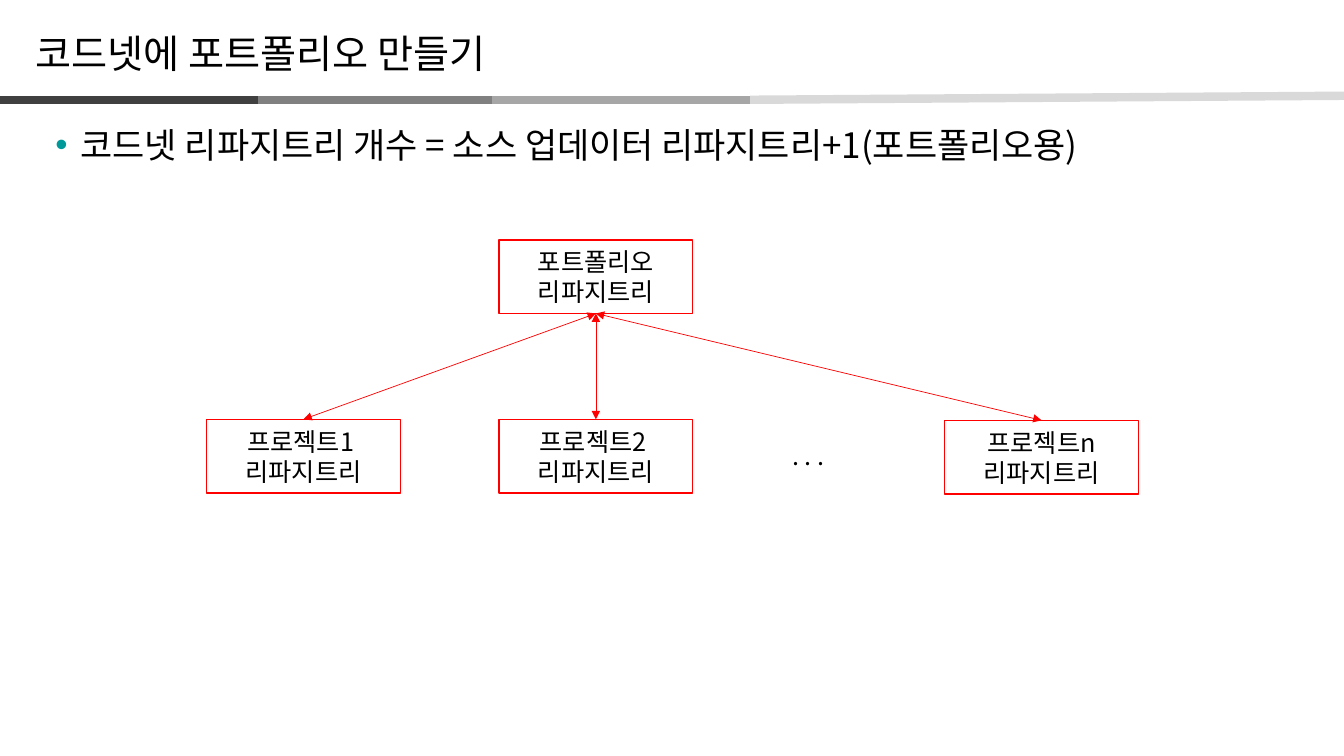
import pptx
import pptx.dml.color
import pptx.enum.shapes
import pptx.enum.text
import pptx.oxml
import pptx.oxml.ns
import pptx.util
from pptx.util import Inches

FONT = "Noto Sans CJK KR"
BLACK = pptx.dml.color.RGBColor(0x00, 0x00, 0x00)
RED = pptx.dml.color.RGBColor(0xFF, 0x00, 0x00)
TEAL = pptx.dml.color.RGBColor(0x00, 0x99, 0x99)
DARK_GRAY = pptx.dml.color.RGBColor(0x40, 0x40, 0x40)
MIDDLE_GRAY = pptx.dml.color.RGBColor(0x80, 0x80, 0x80)
LIGHT_GRAY = pptx.dml.color.RGBColor(0xA6, 0xA6, 0xA6)
PALE_GRAY = pptx.dml.color.RGBColor(0xD9, 0xD9, 0xD9)
LEFT = pptx.enum.text.PP_ALIGN.LEFT
CENTER = pptx.enum.text.PP_ALIGN.CENTER
TOP = pptx.enum.text.MSO_ANCHOR.TOP
MIDDLE = pptx.enum.text.MSO_ANCHOR.MIDDLE
BOX_WIDTH, BOX_HEIGHT = 1.92, 0.73


def append_xml(parent, tag, **attributes):
    """Append a drawing element with attributes and return it."""
    element = pptx.oxml.parse_xml(f"<a:{tag} {pptx.oxml.ns.nsdecls('a')}/>")
    for name, value in attributes.items():
        element.set(name, value)
    parent.append(element)
    return element


def place(shape, left, top, width, height):
    """Set the position and size of a shape in inches."""
    shape.left, shape.top = Inches(left), Inches(top)
    shape.width, shape.height = Inches(width), Inches(height)


def write_lines(shape, lines, size, pitch, alignment=LEFT, anchor=TOP, wrap=True):
    """Write one paragraph per line into a shape."""
    frame = shape.text_frame
    frame.auto_size = pptx.enum.text.MSO_AUTO_SIZE.NONE
    frame.word_wrap = wrap
    frame.vertical_anchor = anchor
    for index, line in enumerate(lines):
        paragraph = frame.add_paragraph() if index else frame.paragraphs[0]
        paragraph.alignment = alignment
        paragraph.line_spacing = pptx.util.Pt(pitch)
        paragraph.space_before = pptx.util.Pt(0)
        run = paragraph.add_run()
        run.text = line
        run.font.name = FONT
        run.font.size = pptx.util.Pt(size)
        run.font.color.rgb = BLACK
        append_xml(run.font._element, "ea", typeface=FONT)


def add_bullet(paragraph):
    """Give a paragraph a teal hanging bullet."""
    properties = paragraph._p.get_or_add_pPr()
    properties.set("marL", str(Inches(0.25)))
    properties.set("indent", str(Inches(-0.25)))
    color = append_xml(properties, "buClr")
    append_xml(color, "srgbClr", val=str(TEAL))
    append_xml(properties, "buFont", typeface="Arial")
    append_xml(properties, "buChar", char="•")


def add_line(slide, start, end, color, width):
    """Add a straight line without a shadow."""
    points = [Inches(value) for value in (*start, *end)]
    line = slide.shapes.add_connector(
        pptx.enum.shapes.MSO_CONNECTOR.STRAIGHT, *points)
    line.line.color.rgb = color
    line.line.width = pptx.util.Pt(width)
    append_xml(line._element.spPr, "effectLst")
    return line


def add_repository(slide, left, top, name):
    """Add a red outlined repository box."""
    box = slide.shapes.add_shape(
        pptx.enum.shapes.MSO_SHAPE.RECTANGLE, Inches(left), Inches(top),
        Inches(BOX_WIDTH), Inches(BOX_HEIGHT))
    box.shadow.inherit = False
    box.fill.background()
    box.line.color.rgb = RED
    box.line.width = pptx.util.Pt(1)
    write_lines(box, [name, "리파지트리"], 18, 21.5, CENTER, MIDDLE)
    return box


def link_repositories(slide, parent, child):
    """Join two boxes with a double-headed arrow."""
    arrow = add_line(slide, (0, 0), (1, 1), RED, 0.5)
    arrow.begin_connect(parent, 2)
    arrow.end_connect(child, 0)
    outline = arrow.line._get_or_add_ln()
    append_xml(outline, "headEnd", type="triangle")
    append_xml(outline, "tailEnd", type="triangle")


def main():
    """Build and save the slide."""
    presentation = pptx.Presentation()
    presentation.slide_width = Inches(13.33)
    presentation.slide_height = Inches(7.5)
    slide = presentation.slides.add_slide(presentation.slide_layouts[1])

    title, body = slide.placeholders
    place(title, 0.25, 0.26, 11.04, 0.59)
    write_lines(title, ["코드넷에 포트폴리오 만들기"], 28, 32)
    place(body, 0.45, 1.19, 12.44, 5.94)
    add_bullet(body.text_frame.paragraphs[0])
    write_lines(
        body, ["코드넷 리파지트리 개수 = 소스 업데이터 리파지트리+1(포트폴리오용)"], 25, 29)

    for left, right, end_height, color in (
            (2.32, 4.88, 0.99, MIDDLE_GRAY), (4.88, 7.44, 0.99, LIGHT_GRAY),
            (7.44, 13.33, 0.95, PALE_GRAY), (0, 2.56, 0.99, DARK_GRAY)):
        add_line(slide, (left, 0.99), (right, end_height), color, 6)

    portfolio = add_repository(slide, 4.95, 2.38, "포트폴리오")
    projects = [
        add_repository(slide, left, top, name) for left, top, name in (
            (2.05, 4.16, "프로젝트1 "), (4.95, 4.16, "프로젝트2 "),
            (9.37, 4.17, "프로젝트n"))]
    ellipsis = slide.shapes.add_textbox(
        Inches(7.76), Inches(4.32), Inches(0.55), Inches(0.4))
    write_lines(ellipsis, [". . ."], 18, 21.5, wrap=False)
    for project in projects:
        link_repositories(slide, portfolio, project)

    presentation.save("out.pptx")


if __name__ == "__main__":
    main()
